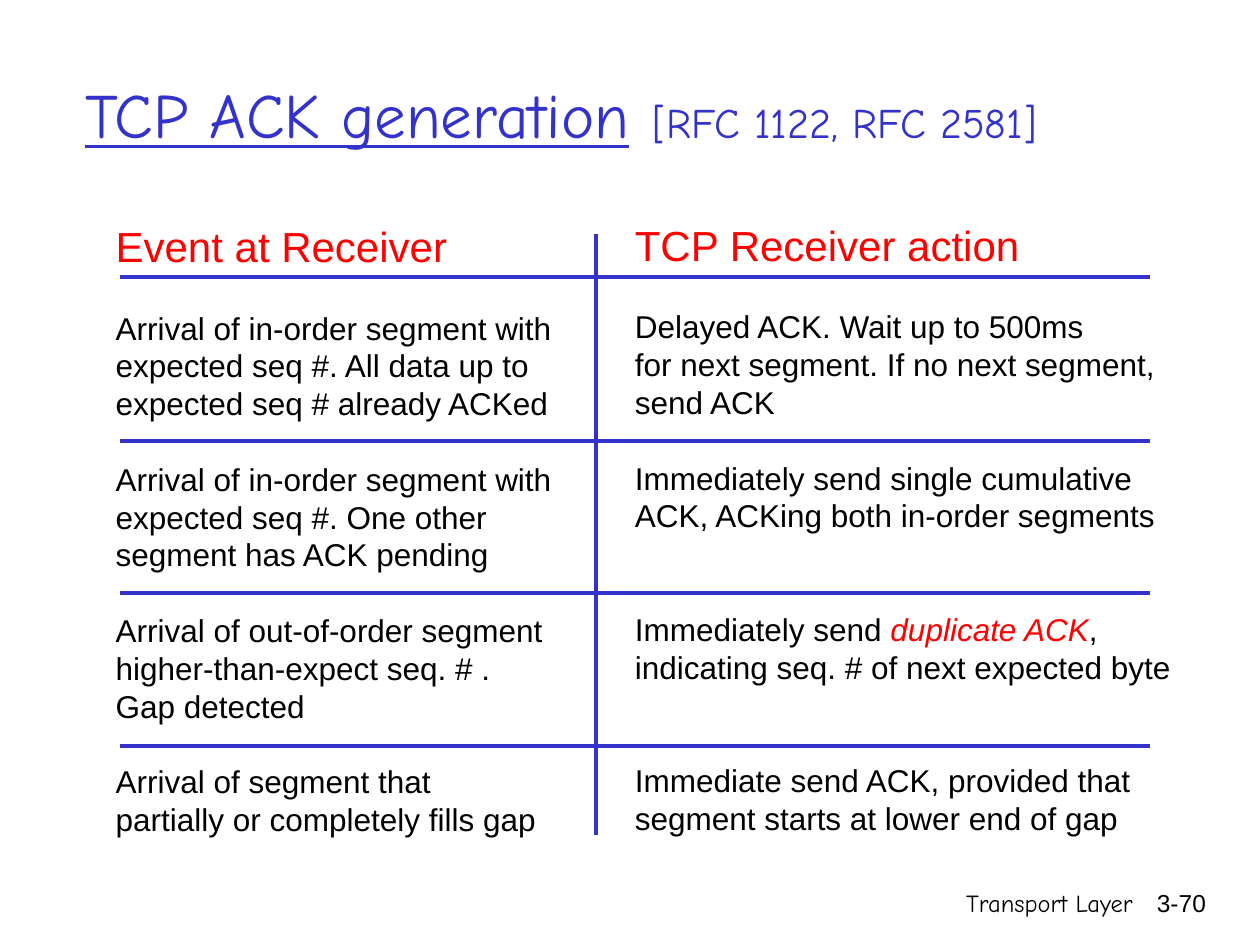
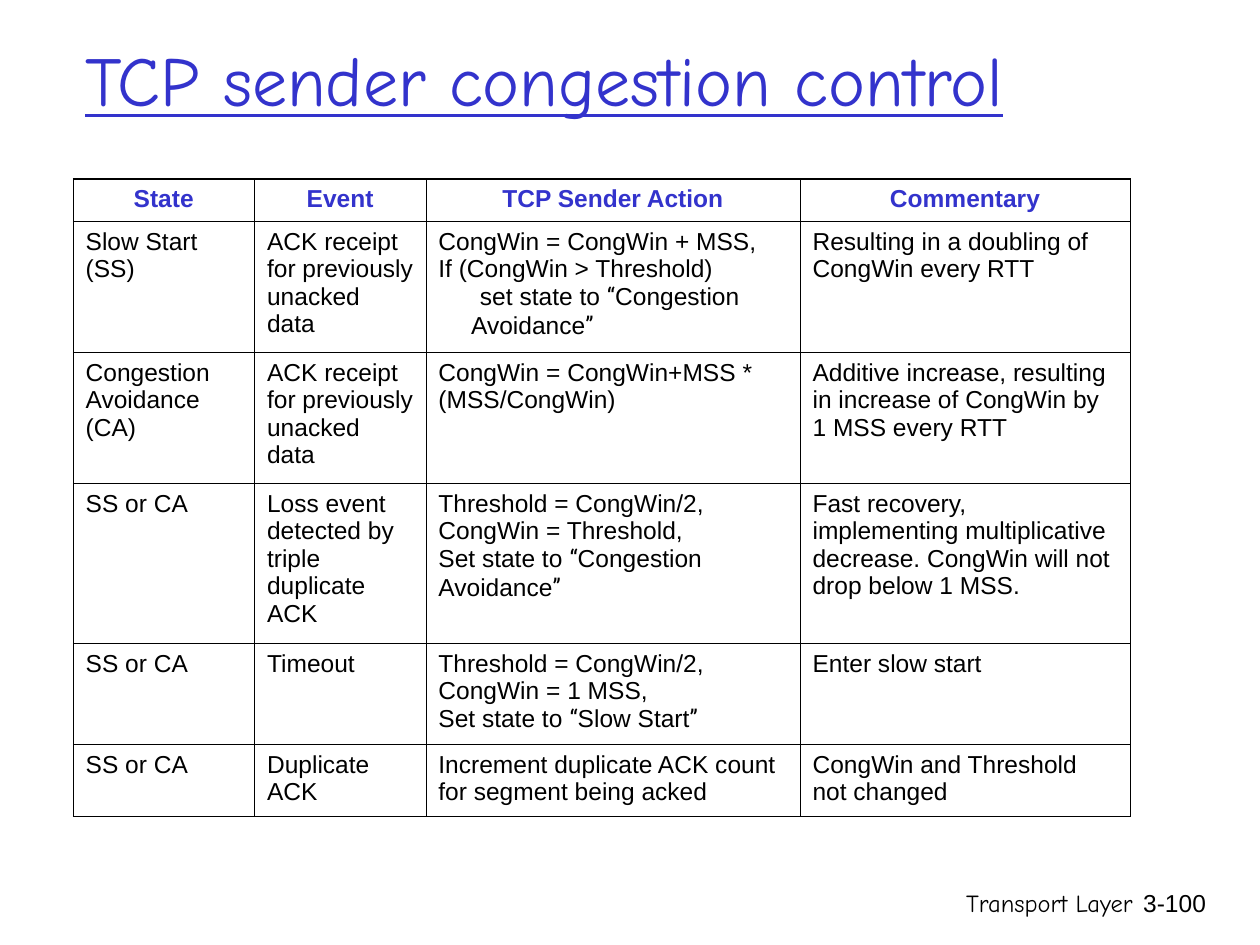
from pptx import Presentation
from pptx.dml.color import RGBColor
from pptx.enum.shapes import MSO_CONNECTOR
from pptx.enum.text import MSO_ANCHOR, PP_ALIGN
from pptx.oxml.ns import qn
from pptx.util import Inches, Pt
from lxml import etree

LINE = MSO_CONNECTOR.STRAIGHT
MIDDLE = MSO_ANCHOR.MIDDLE
LEFT, CENTER, RIGHT = PP_ALIGN.LEFT, PP_ALIGN.CENTER, PP_ALIGN.RIGHT
HUES = {"blue": "3333CC", "red": "FF0000", "black": "000000"}
SANS, HAND, QUOTE = "Arial", "Comic Neue", "Roboto Condensed"
GAP = 21.6

EVENTS = [
    ["Arrival of in-order segment with", "expected seq #. All data up to",
     "expected seq # already ACKed"],
    ["Arrival of in-order segment with", "expected seq #. One other",
     "segment has ACK pending"],
    ["Arrival of out-of-order segment", "higher-than-expect seq. # .",
     "Gap detected"],
    ["Arrival of segment that", "partially or completely fills gap"],
]
ACTIONS = [
    ["Delayed ACK. Wait up to 500ms", "for next segment. If no next segment,",
     "send ACK"],
    ["Immediately send single cumulative", "ACK, ACKing both in-order segments"],
    ["Immediately send *duplicate ACK*,", "indicating seq. # of next expected byte"],
    ["Immediate send ACK, provided that", "segment starts at lower end of gap"],
]
HEADS = ["State", "Event", "TCP Sender Action", "Commentary"]
STATES = [
    ["Slow Start (SS)", "ACK receipt for previously unacked data",
     "CongWin = CongWin + MSS,\nIf (CongWin > Threshold)\n"
     "set state to “Congestion Avoidance”",
     "Resulting in a doubling of CongWin every RTT"],
    ["Congestion\nAvoidance (CA)", "ACK receipt for previously unacked data",
     "CongWin = CongWin+MSS * (MSS/CongWin)",
     "Additive increase, resulting in increase of CongWin by 1 MSS every RTT"],
    ["SS or CA", "Loss event detected by triple duplicate ACK",
     "Threshold = CongWin/2,\nCongWin = Threshold,\n"
     "Set state to “Congestion Avoidance”",
     "Fast recovery, implementing multiplicative decrease. "
     "CongWin will not drop below 1 MSS."],
    ["SS or CA", "Timeout",
     "Threshold = CongWin/2,\nCongWin = 1 MSS,\nSet state to “Slow Start”",
     "Enter slow start"],
    ["SS or CA", "Duplicate ACK",
     "Increment duplicate ACK count for segment being acked",
     "CongWin and Threshold not changed"],
]
WIDTHS = [1.44, 1.36, 2.97, 2.62]
HEIGHTS = [0.34, 1.04, 1.04, 1.27, 0.8, 0.57]


def add_run(para, text, size, hue="black", font=SANS, **style):
    """Add one styled run to a paragraph."""
    run = para.add_run()
    run.text = text
    run.font.size = Pt(size)
    run.font.name = font
    run.font.color.rgb = RGBColor.from_string(HUES[hue])
    for name, value in style.items():
        setattr(run.font, name, value)


def add_box(slide, box, wrap=True):
    """Add a text box and return its frame."""
    frame = slide.shapes.add_textbox(*map(Inches, box)).text_frame
    frame.word_wrap = wrap
    return frame


def next_para(frame, first):
    """Return the first paragraph of a frame, or a new one."""
    return frame.paragraphs[0] if first else frame.add_paragraph()


def add_title(slide, top, text, size, note=None):
    """Add the underlined title with an optional smaller note."""
    frame = add_box(slide, (0.58, top, 8.5, 1.25))
    frame.vertical_anchor = MIDDLE
    para = frame.paragraphs[0]
    add_run(para, text, size, "blue", HAND, underline=True)
    if note:
        add_run(para, " ", 40, "blue", HAND)
        add_run(para, note, 24, "blue", HAND)


def add_foot(slide, number):
    """Add the chapter name and the page number."""
    parts = [(5.92, 3.17, "Transport Layer", HAND), (8.93, 0.74, number, SANS)]
    for left, width, text, font in parts:
        para = add_box(slide, (left, 7, width, 0.5)).paragraphs[0]
        para.alignment = RIGHT
        add_run(para, text, 14, font=font)


def add_rule(slide, start, end):
    """Draw a blue line between two points."""
    rule = slide.shapes.add_connector(LINE, *map(Inches, start + end))
    rule.line.color.rgb = RGBColor.from_string(HUES["blue"])
    rule.line.width = Pt(2.25)
    etree.SubElement(rule._element.spPr, qn("a:effectLst"))


def add_column(slide, box, head, blocks):
    """Add a red heading and text blocks that keep step with three-line rows."""
    frame = add_box(slide, box, wrap=False)
    add_run(frame.paragraphs[0], head, 24, "red")
    space = GAP
    for block in blocks:
        for index, line in enumerate(block):
            para = frame.add_paragraph()
            if index == 0:
                para.space_before = Pt(space)
            for part, text in enumerate(line.split("*")):
                marked = part % 2 == 1
                add_run(para, text, 18, "red" if marked else "black", italic=marked)
        space = GAP * (4 - len(block))


def add_edges(cell, top, bottom):
    """Draw the four borders of a table cell."""
    props = cell._tc.get_or_add_tcPr()
    for side, width in (("L", 0.34), ("R", 0.34), ("T", top), ("B", bottom)):
        edge = etree.SubElement(props, qn("a:ln" + side), w=str(Pt(width)))
        fill = etree.SubElement(edge, qn("a:solidFill"))
        etree.SubElement(fill, qn("a:srgbClr"), val=HUES["black"])


def fill_cell(cell, text, head):
    """Write the paragraphs of a cell, with quote marks in their own font."""
    for index, line in enumerate(text.split("\n")):
        para = next_para(cell.text_frame, index == 0)
        para.alignment = CENTER if head else LEFT
        if line.startswith("set"):
            props = para._p.get_or_add_pPr()
            props.set("marL", str(Inches(0.26)))
            props.set("indent", str(Inches(0.07)))
        if head:
            add_run(para, line, 14, "blue", bold=True)
            continue
        before, start, rest = line.partition("“")
        inner, end, _ = rest.partition("”")
        for part, font in ((before, SANS), (start, QUOTE), (inner, SANS), (end, QUOTE)):
            if part:
                add_run(para, part, 14, font=font, bold=False)


def add_states(slide, left, top):
    """Add the table of sender states."""
    rows = [HEADS] + STATES
    size = map(Inches, (left, top, sum(WIDTHS), sum(HEIGHTS)))
    table = slide.shapes.add_table(len(rows), len(HEADS), *size).table
    table.first_row = table.horz_banding = False
    for column, width in zip(table.columns, WIDTHS):
        column.width = Inches(width)
    last = len(rows) - 1
    for r, row in enumerate(rows):
        table.rows[r].height = Inches(HEIGHTS[r])
        for c, text in enumerate(row):
            cell = table.cell(r, c)
            add_edges(cell, 0.96 if r == 0 else 0.45, 0.96 if r == last else 0.45)
            cell.fill.background()
            fill_cell(cell, text, r == 0)


def ack_slide(slide):
    """Build the slide on ACK generation."""
    add_foot(slide, "3-70")
    add_title(slide, 0.25, "TCP ACK generation", 36, "[RFC 1122, RFC 2581]")
    add_column(slide, (0.82, 1.7, 3.66, 5.6), "Event at Receiver", EVENTS)
    add_column(slide, (4.94, 1.69, 4.45, 5.6), "TCP Receiver action", ACTIONS)
    for y in [2.2] + [3.5 + 1.21 * step for step in range(3)]:
        add_rule(slide, (0.95, y), (9.13, y))
    add_rule(slide, (4.73, 1.86), (4.73, 6.63))


def state_slide(slide):
    """Build the slide on congestion control."""
    add_foot(slide, "3-100")
    add_title(slide, 0, "TCP sender congestion control", 40)
    add_states(slide, 0.58, 1.42)


def main():
    """Build and save the deck."""
    deck = Presentation()
    deck.slide_width, deck.slide_height = Inches(10), Inches(7.5)
    for build in (ack_slide, state_slide):
        build(deck.slides.add_slide(deck.slide_layouts[6]))
    deck.save("out.pptx")


if __name__ == "__main__":
    main()
